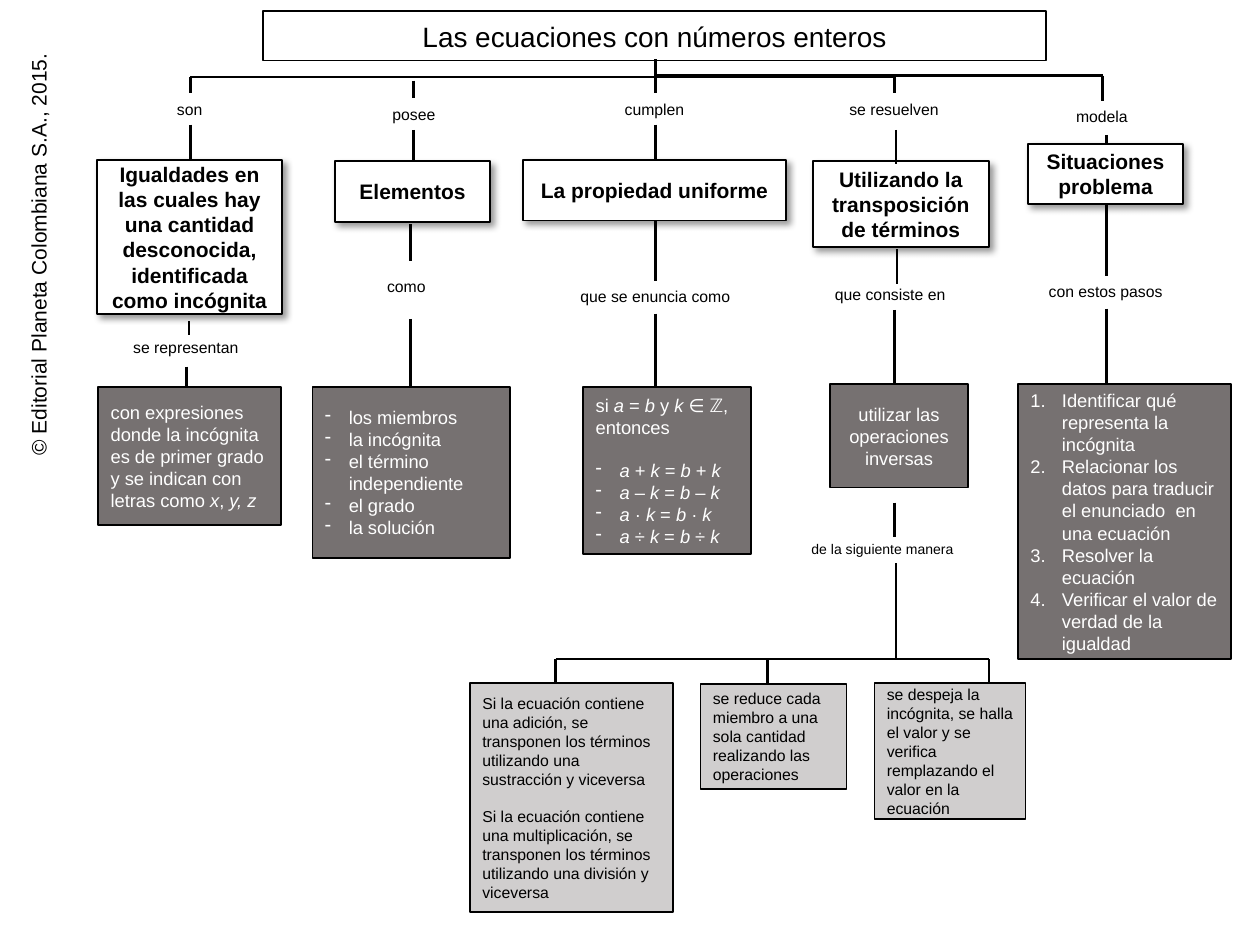
from itertools import pairwise

from lxml.etree import SubElement
from pptx import Presentation
from pptx.dml.color import RGBColor
from pptx.enum.shapes import MSO_CONNECTOR as Link, MSO_SHAPE as Shape
from pptx.enum.text import MSO_ANCHOR as Anchor, MSO_AUTO_SIZE as Fit, PP_ALIGN as Align
from pptx.oxml.ns import qn
from pptx.util import Inches, Pt

THEME = {
    "font": "Arial",
    "ink": "000000",
    "border": 1,
    "branch": 1.5,
    "label": 9,
    "small_label": 8,
    "credit": 12,
    "title": {"fill": "FFFFFF", "ink": "000000", "size": 16},
    "concept": {"fill": "FFFFFF", "ink": "000000", "size": 12, "bold": True, "shadow": True},
    "detail": {"fill": "767171", "ink": "FFFFFF", "size": 10.5},
    "step": {"fill": "D0CECE", "ink": "000000", "size": 9},
}
CREDIT = ("© Editorial Planeta Colombiana S.A., 2015.", -1.4, 1.87, 3.41, 0.3)

# Each box: style, frame, alignment, bullet, lead paragraphs, listed paragraphs; *x* is italic.
BOXES = [
    ("title", (2.09, 0.09, 6.21, 0.39), "center", None, ["Las ecuaciones con números enteros"], []),
    ("concept", (0.77, 1.27, 1.47, 1.22), "center", None,
     ["Igualdades en las cuales hay una cantidad desconocida, identificada como incógnita"], []),
    ("concept", (2.66, 1.28, 1.23, 0.48), "center", None, ["Elementos"], []),
    ("concept", (4.15, 1.27, 2.09, 0.48), "center", None, ["La propiedad uniforme"], []),
    ("concept", (6.45, 1.28, 1.4, 0.68), "center", None,
     ["Utilizando la transposición de términos"], []),
    ("concept", (8.16, 1.14, 1.23, 0.48), "center", None, ["Situaciones problema"], []),
    ("detail", (0.78, 3.07, 1.45, 1.1), "left", None,
     ["con expresiones donde la incógnita es de primer grado y se indican con letras como "
      "*x*, *y, z*"], []),
    ("detail", (2.48, 3.07, 1.57, 1.36), "left", "dash", [],
     ["los miembros", "la incógnita", "el término independiente", "el grado", "la solución"]),
    ("detail", (4.63, 3.07, 1.33, 1.33), "left", "dash",
     ["si *a* = *b* y *k* ∈ ℤ, entonces"],
     [f"*a* {sign} *k* = *b* {sign} *k*" for sign in "+–·÷"]),
    ("detail", (6.59, 3.05, 1.09, 0.82), "center", None, ["utilizar las operaciones inversas"], []),
    ("detail", (8.08, 3.05, 1.69, 2.18), "left", "number", [],
     ["Identificar qué representa la incógnita",
      "Relacionar los datos para traducir el enunciado  en una ecuación",
      "Resolver la ecuación", "Verificar el valor de verdad de la igualdad"]),
    ("step", (3.73, 5.42, 1.61, 1.82), "left", None,
     ["Si la ecuación contiene una adición, se transponen los términos utilizando una "
      "sustracción y viceversa"],
     ["Si la ecuación contiene una multiplicación, se transponen los términos utilizando una "
      "división y viceversa"]),
    ("step", (5.56, 5.43, 1.16, 0.83), "left", None,
     ["se reduce cada miembro a una sola cantidad realizando las operaciones"], []),
    ("step", (6.94, 5.42, 1.2, 1.08), "left", None,
     ["se despeja la incógnita, se halla el valor y se verifica remplazando el valor en la "
      "ecuación"], []),
]
LABELS = [
    ("son", 0.89, 0.74, 1.23), ("posee", 2.67, 0.78, 1.23), ("cumplen", 4.58, 0.74, 1.23),
    ("se resuelven", 6.48, 0.74, 1.23), ("modela", 8.13, 0.8, 1.23),
    ("se representan", 0.86, 2.63, 1.23), ("como", 2.61, 2.15, 1.23),
    ("que se enuncia como", 4.49, 2.23, 1.42), ("que consiste en", 6.45, 2.21, 1.23),
    ("con estos pasos", 8.16, 2.19, 1.23), ("de la siguiente manera", 6.28, 4.24, 1.45),
]
SMALL_LABELS = {"de la siguiente manera"}
DROPS = {
    1.51: [(0.99, 1.27)], 1.5: [(2.55, 2.66)], 1.48: [(2.91, 3.07)],
    3.28: [(0.64, 0.78), (1.03, 1.28)], 3.26: [(1.78, 2.07), (2.53, 3.07)],
    5.2: [(0.47, 0.74), (0.99, 1.27), (1.75, 2.23), (2.49, 3.07)],
    7.11: [(1.03, 1.3), (4.47, 5.22)], 7.12: [(1.98, 2.25)],
    7.1: [(2.46, 3.05), (3.99, 4.26)],
    8.78: [(1.07, 1.14), (1.62, 2.19), (2.45, 3.04)],
}
BRANCHES = [
    [(5.2, 0.61), (1.51, 0.61), (1.51, 0.74)],
    [(5.2, 0.61), (7.1, 0.61), (7.1, 0.74)],
    [(5.2, 0.6), (8.75, 0.6), (8.75, 0.8)],
    [(4.41, 5.41), (4.41, 5.23), (7.85, 5.23), (7.85, 5.41)],
    [(6.09, 5.23), (6.09, 5.43), (6.14, 5.43)],
]
ALIGNMENTS = {"left": Align.LEFT, "center": Align.CENTER}
BULLETS = {
    "dash": (0.19, "a:buChar", {"char": "-"}),
    "number": (0.25, "a:buAutoNum", {"type": "arabicPeriod"}),
}


def write(para, text, size, ink, bold=False):
    for index, part in enumerate(text.split("*")):
        if part:
            span = para.add_run()
            span.text = part
            span.font.name, span.font.size = THEME["font"], Pt(size)
            span.font.bold, span.font.italic = bold, index % 2 == 1
            span.font.color.rgb = RGBColor.from_string(ink)


def add_bullet(para, kind):
    indent, tag, values = BULLETS[kind]
    props = para._p.get_or_add_pPr()
    props.set("marL", str(Inches(indent)))
    props.set("indent", str(-Inches(indent)))
    SubElement(props, qn(tag), values)


def add_shadow(box):
    effects = box._element.spPr.find(qn("a:effectLst"))
    shadow = SubElement(effects, qn("a:outerShdw"), {
        "blurRad": str(Pt(4)), "dist": str(Pt(3)), "dir": "2700000",
        "algn": "tl", "rotWithShape": "0"})
    color = SubElement(shadow, qn("a:srgbClr"), {"val": THEME["ink"]})
    SubElement(color, qn("a:alpha"), {"val": "40000"})


def add_box(page, style, frame, align, bullet, lead, listed):
    look = THEME[style]
    box = page.shapes.add_shape(Shape.RECTANGLE, *map(Inches, frame))
    box.shadow.inherit = False
    if look.get("shadow"):
        add_shadow(box)
    box.fill.solid()
    box.fill.fore_color.rgb = RGBColor.from_string(look["fill"])
    box.line.color.rgb = RGBColor.from_string(THEME["ink"])
    box.line.width = Pt(THEME["border"])
    frame_text = box.text_frame
    frame_text.word_wrap, frame_text.vertical_anchor = True, Anchor.MIDDLE
    for index, text in enumerate(lead + listed):
        para = frame_text.add_paragraph() if index else frame_text.paragraphs[0]
        para.alignment = ALIGNMENTS[align]
        if bullet and index >= len(lead):
            add_bullet(para, bullet)
        if lead and index == len(lead):
            para.space_before = Pt(look["size"] * 1.15)
        write(para, text, look["size"], look["ink"], look.get("bold", False))


def add_label(page, text, left, top, width, height, size, wrap=True):
    box = page.shapes.add_textbox(*map(Inches, (left, top, width, height)))
    box.text_frame.word_wrap = wrap
    box.text_frame.auto_size = Fit.SHAPE_TO_FIT_TEXT
    para = box.text_frame.paragraphs[0]
    para.alignment = Align.CENTER
    write(para, text, size, THEME["ink"])
    return box


def add_line(page, start, end):
    line = page.shapes.add_connector(Link.STRAIGHT, *map(Inches, (*start, *end)))
    line.line.color.rgb = RGBColor.from_string(THEME["ink"])
    line.line.width = Pt(THEME["branch"])
    SubElement(line._element.spPr, qn("a:effectLst"))


def main():
    """Build the concept map of equations with whole numbers."""
    deck = Presentation()
    deck.slide_width, deck.slide_height = Inches(10), Inches(7.5)
    page = deck.slides.add_slide(deck.slide_layouts[6])
    add_label(page, *CREDIT, THEME["credit"], wrap=False).rotation = 270
    for box in BOXES:
        add_box(page, *box)
    for text, left, top, width in LABELS:
        size = THEME["small_label" if text in SMALL_LABELS else "label"]
        add_label(page, text, left, top, width, 0.25, size)
    for x, spans in DROPS.items():
        for top, bottom in spans:
            add_line(page, (x, top), (x, bottom))
    for route in BRANCHES:
        for start, end in pairwise(route):
            add_line(page, start, end)
    deck.save("out.pptx")


if __name__ == "__main__":
    main()
